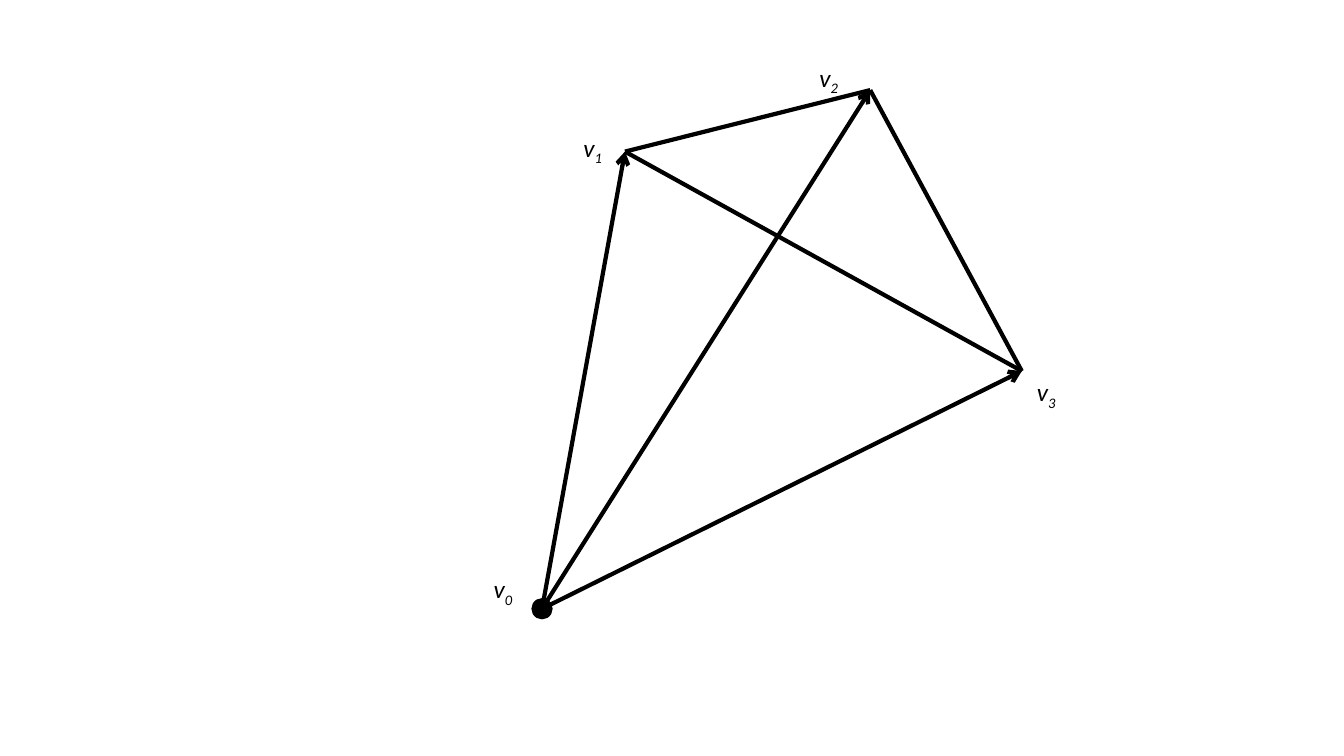
import pptx
import pptx.util
import pptx.dml.color
import pptx.enum.shapes
import pptx.enum.text
import pptx.oxml
import pptx.oxml.ns
from pptx.util import Cm


def color(hex_string):
    return pptx.dml.color.RGBColor.from_string(hex_string)


BLACK = color("000000")

presentation = pptx.Presentation()
presentation.slide_width = Cm(33.87)
presentation.slide_height = Cm(19.05)
slide = presentation.slides.add_slide(presentation.slide_layouts[6])

# Vertices and top left corners of their labels, in cm
vertices = [(13.66, 15.34), (15.75, 3.82), (21.93, 2.27), (25.75, 9.35)]
label_corners = [(12.19, 14.33), (14.45, 3.2), (20.4, 1.45), (25.88, 9.37)]

# Edges: first the plain triangle, then the vectors from vertex 0
edges = [(2, 3), (2, 1), (1, 3), (0, 1), (0, 2), (0, 3)]
for start, end in edges:
    (start_x, start_y), (end_x, end_y) = vertices[start], vertices[end]
    edge = slide.shapes.add_connector(
        pptx.enum.shapes.MSO_CONNECTOR.STRAIGHT,
        Cm(start_x), Cm(start_y), Cm(end_x), Cm(end_y))
    edge.line.color.rgb = BLACK
    edge.line.width = pptx.util.Pt(3)
    if start == 0:
        arrowhead = pptx.oxml.ns.qn("a:tailEnd")
        edge.line._get_or_add_ln().makeelement(arrowhead)
        edge.line._get_or_add_ln().append(
            pptx.oxml.parse_xml(
                '<a:tailEnd xmlns:a="http://schemas.openxmlformats.org/'
                'drawingml/2006/main" type="arrow"/>'))
    properties = edge._element.spPr
    properties.append(properties.makeelement(pptx.oxml.ns.qn("a:effectLst")))

# Dot at the common origin
diameter = 0.5
origin_x, origin_y = vertices[0]
dot = slide.shapes.add_shape(
    pptx.enum.shapes.MSO_SHAPE.OVAL,
    Cm(origin_x - diameter / 2), Cm(origin_y - diameter / 2),
    Cm(diameter), Cm(diameter))
dot.shadow.inherit = False
dot.fill.solid()
dot.fill.fore_color.rgb = BLACK
dot.line.color.rgb = BLACK
dot.line.width = pptx.util.Pt(1)

# Vertex labels with subscript numbers
for index, (left, top) in enumerate(label_corners):
    label = slide.shapes.add_textbox(Cm(left), Cm(top), Cm(1.02), Cm(1.02))
    label.text_frame.word_wrap = False
    label.text_frame.auto_size = pptx.enum.text.MSO_AUTO_SIZE.SHAPE_TO_FIT_TEXT
    paragraph = label.text_frame.paragraphs[0]
    for text, baseline in [("v", None), (str(index), "-25000")]:
        run = paragraph.add_run()
        run.text = text
        run.font.name = "Calibri"
        run.font.size = pptx.util.Pt(18)
        run.font.italic = True
        run.font.color.rgb = BLACK
        if baseline:
            run.font._element.set("baseline", baseline)

presentation.save("out.pptx")
